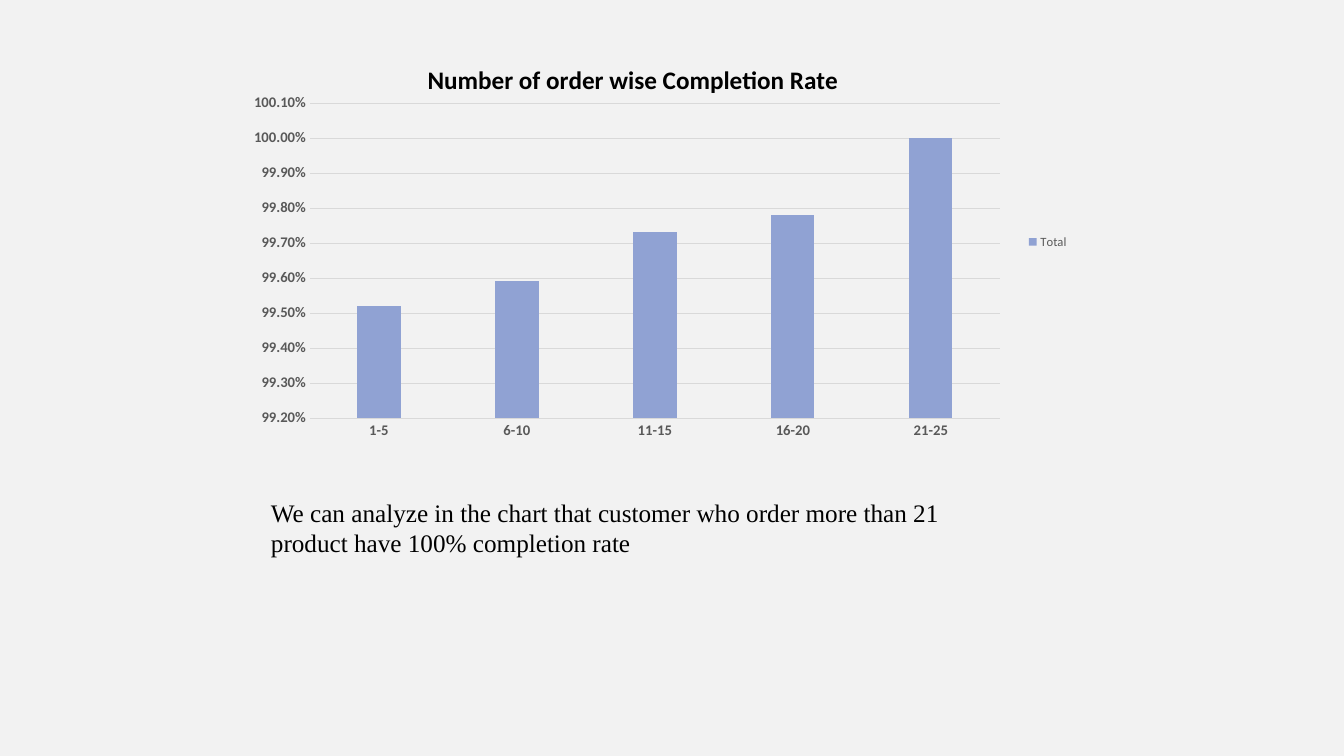
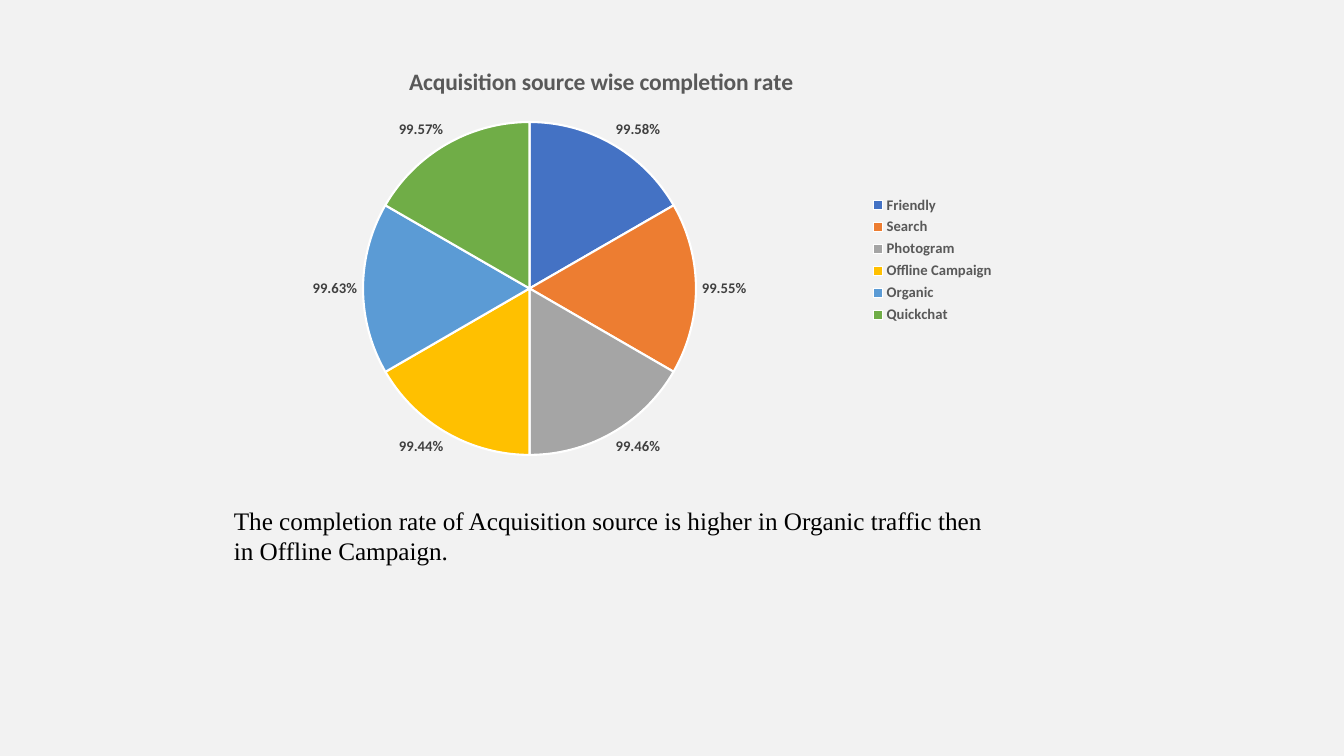
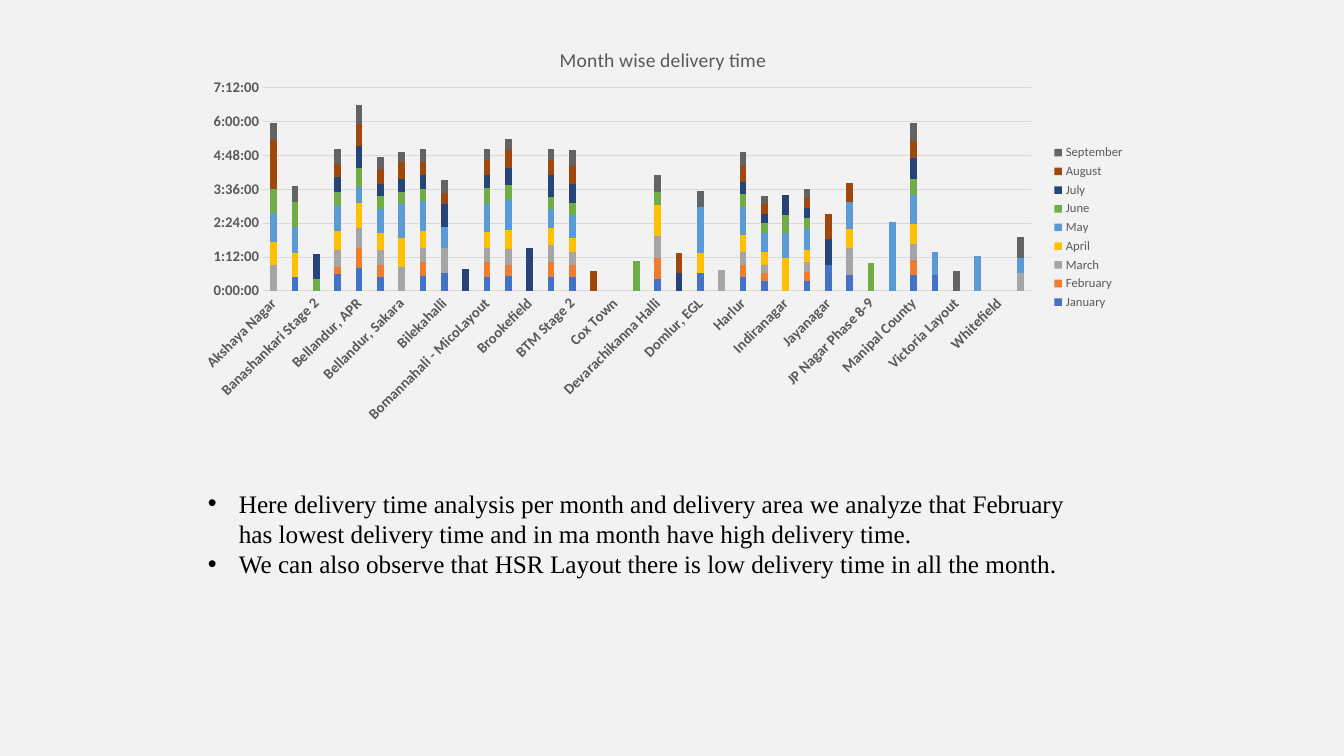
from pptx import Presentation
from pptx import util as u
from pptx.chart.data import CategoryChartData
from pptx.dml.color import RGBColor
from pptx.enum import chart as c, text
from pptx.oxml import parse_xml
from pptx.oxml.ns import nsdecls

PX = 12192000 / 1344
BACKGROUND = RGBColor(0xF2, 0xF2, 0xF2)
BLACK = RGBColor(0, 0, 0)
WHITE = RGBColor(0xFF, 0xFF, 0xFF)
GREY = RGBColor(0x59, 0x59, 0x59)
LABEL_GREY = RGBColor(0x40, 0x40, 0x40)
GRID = RGBColor(0xD9, 0xD9, 0xD9)
PERIWINKLE = RGBColor(0x90, 0xA2, 0xD3)
PALETTE = [
    RGBColor(0x44, 0x72, 0xC4), RGBColor(0xED, 0x7D, 0x31), RGBColor(0xA5, 0xA5, 0xA5),
    RGBColor(0xFF, 0xC0, 0x00), RGBColor(0x5B, 0x9B, 0xD5), RGBColor(0x70, 0xAD, 0x47),
    RGBColor(0x26, 0x44, 0x78), RGBColor(0x9E, 0x48, 0x0E), RGBColor(0x63, 0x63, 0x63),
]
CHART_FONT = "Calibri"
BODY_FONT = "Times New Roman"

ORDER_RATES = {"1-5": 0.9952, "6-10": 0.9959, "11-15": 0.9973, "16-20": 0.9978, "21-25": 1}
SOURCE_RATES = {
    "Friendly": 0.9958, "Search": 0.9955, "Photogram": 0.9946,
    "Offline Campaign": 0.9944, "Organic": 0.9963, "Quickchat": 0.9957,
}
AREAS = [
    "Akshaya Nagar", "Arekere", "Banashankari Stage 2", "Bellandur - Off Sarjapur Road",
    "Bellandur, APR", "Bellandur, Green Glen", "Bellandur, Sakara", "Bellandur, Sarjapur Road",
    "Bilekahalli", "Binnipet", "Bomannahali - MicoLayout", "Bommanahalli",
    "Brookefield", "BTM Stage 1", "BTM Stage 2", "Challagatta",
    "Cox Town", "CV Raman Nagar", "Devarachikanna Halli", "Doddanekundi",
    "Domlur, EGL", "Frazer Town", "Harlur", "HSR Layout",
    "Indiranagar", "ITI Layout", "Jayanagar", "JP Nagar Phase 1-3",
    "JP Nagar Phase 8-9", "Mahadevapura", "Manipal County", "Marathahalli",
    "Victoria Layout", "Vimanapura", "Whitefield", "Wilson Garden, Shantinagar",
]
NA = None
DELIVERY_DAYS = {
    "January": [
        NA, 0.02, NA, 0.025, 0.034, 0.02, NA, 0.022, 0.026, NA, 0.021, 0.022,
        NA, 0.021, 0.02, NA, NA, NA, 0.018, NA, 0.026, NA, 0.021, 0.014,
        NA, 0.015, 0.039, 0.023, NA, NA, 0.024, 0.023, NA, NA, NA, NA],
    "February": [
        NA, NA, NA, 0.011, 0.029, 0.019, NA, 0.02, NA, NA, 0.022, 0.017,
        NA, 0.022, 0.018, NA, NA, NA, 0.03, NA, NA, NA, 0.018, 0.012,
        NA, 0.013, NA, NA, NA, NA, 0.021, NA, NA, NA, NA, NA],
    "March": [
        0.038, NA, NA, 0.025, 0.03, 0.022, 0.035, 0.022, 0.037, NA, 0.021, 0.023,
        NA, 0.025, 0.019, NA, NA, NA, 0.033, NA, NA, 0.031, 0.019, 0.013,
        NA, 0.014, NA, 0.041, NA, NA, 0.024, NA, NA, NA, NA, 0.026],
    "April": [
        0.034, 0.036, NA, 0.028, 0.037, 0.025, 0.043, 0.025, NA, NA, 0.023, 0.028,
        NA, 0.025, 0.021, NA, NA, NA, 0.046, NA, 0.03, NA, 0.024, 0.018,
        0.048, 0.019, NA, 0.027, NA, NA, 0.03, NA, NA, NA, NA, NA],
    "May": [
        0.043, 0.039, NA, 0.036, 0.024, 0.035, 0.05, 0.044, 0.031, NA, 0.041, 0.045,
        NA, 0.028, 0.034, NA, NA, NA, NA, NA, 0.068, NA, 0.042, 0.029,
        0.038, 0.031, NA, 0.04, NA, 0.102, 0.043, 0.035, NA, 0.052, NA, 0.023],
    "June": [
        0.035, 0.037, 0.017, 0.021, 0.028, 0.019, 0.018, 0.018, NA, NA, 0.024, 0.021,
        NA, 0.018, 0.018, NA, NA, 0.044, 0.019, NA, NA, NA, 0.019, 0.015,
        0.026, 0.016, NA, NA, 0.041, NA, 0.024, NA, NA, NA, NA, NA],
    "July": [
        NA, NA, 0.038, 0.022, 0.032, 0.018, 0.02, 0.021, 0.034, 0.032, 0.02, 0.025,
        0.063, 0.032, 0.028, NA, NA, NA, NA, 0.027, NA, NA, 0.018, 0.013,
        0.03, 0.014, 0.037, NA, NA, NA, 0.03, NA, NA, NA, NA, NA],
    "August": [
        0.073, NA, NA, 0.02, 0.032, 0.022, 0.025, 0.018, 0.017, NA, 0.021, 0.027,
        NA, 0.022, 0.027, 0.029, NA, NA, NA, 0.029, NA, NA, 0.024, 0.014,
        NA, 0.015, 0.037, 0.029, NA, NA, 0.026, NA, NA, NA, NA, NA],
    "September": [
        0.025, 0.023, NA, 0.021, 0.029, 0.018, 0.015, 0.019, 0.019, NA, 0.017, 0.016,
        NA, 0.016, 0.023, NA, NA, NA, 0.026, NA, 0.024, NA, 0.021, 0.012,
        NA, 0.013, NA, NA, NA, NA, 0.026, NA, 0.029, NA, NA, 0.03],
}


def px(length):
    return u.Emu(round(length * PX))


def set_font(font, size, color, bold=False, name=CHART_FONT):
    font.size, font.bold, font.name = u.Pt(size), bold, name
    font.color.rgb = color


def set_layout(element, position, fractions, target=""):
    for layout in element.xpath("c:layout"):
        element.remove(layout)
    modes = '<c:xMode val="edge"/><c:yMode val="edge"/>'
    sizes = "".join(f'<c:{key} val="{value:.4f}"/>' for key, value in zip("xywh", fractions))
    element.insert(position, parse_xml(
        f'<c:layout {nsdecls("c")}><c:manualLayout>{target}{modes}{sizes}'
        '</c:manualLayout></c:layout>'))


def add_chart(slide, kind, box, categories, series, title, title_at, plot_box):
    data = CategoryChartData()
    data.categories = categories
    for name, values in series.items():
        data.add_series(name, values)
    chart = slide.shapes.add_chart(kind, *map(px, box), data).chart
    set_font(chart.font, 10, BLACK)
    chart.has_title = True
    paragraph = chart.chart_title.text_frame.paragraphs[0]
    paragraph.text, size, color, bold = title
    set_font(paragraph.font, size, color, bold)
    width, height = box[2:]
    set_layout(chart.chart_title.element, 1, (title_at[0] / width, title_at[1] / height))
    x, y, w, h = plot_box
    set_layout(chart.element.xpath(".//c:plotArea")[0], 0,
               (x / width, y / height, w / width, h / height),
               '<c:layoutTarget val="inner"/>')
    chart.has_legend = True
    chart.legend.position = c.XL_LEGEND_POSITION.RIGHT
    chart.legend.include_in_layout = False
    set_font(chart.legend.font, 9, GREY)
    return chart


def style_columns(chart, colors, overlap, scale, number_format, line_width):
    plot = chart.plots[0]
    plot.gap_width, plot.overlap, plot.vary_by_categories = 219, overlap, False
    for series, color in zip(plot.series, colors):
        series.format.fill.solid()
        series.format.fill.fore_color.rgb = color
    category_axis, value_axis = chart.category_axis, chart.value_axis
    for axis in (category_axis, value_axis):
        axis.major_tick_mark = axis.minor_tick_mark = c.XL_TICK_MARK.NONE
        set_font(axis.tick_labels.font, 10.5, GREY, True)
    value_axis.has_major_gridlines = True
    for line in (category_axis.format.line, value_axis.major_gridlines.format.line):
        line.color.rgb = GRID
        line.width = u.Pt(line_width)
    value_axis.format.line.fill.background()
    value_axis.minimum_scale, value_axis.maximum_scale, value_axis.major_unit = scale
    value_axis.tick_labels.number_format = number_format
    value_axis.tick_labels.number_format_is_linked = False


def add_findings(slide, box, findings, bulleted=False):
    frame = slide.shapes.add_textbox(*map(px, box)).text_frame
    frame.word_wrap = True
    frame.auto_size = text.MSO_AUTO_SIZE.SHAPE_TO_FIT_TEXT
    for index, finding in enumerate(findings):
        paragraph = frame.add_paragraph() if index else frame.paragraphs[0]
        paragraph.text = finding
        set_font(paragraph.font, 18, BLACK, name=BODY_FONT)
        if bulleted:
            properties = paragraph._p.get_or_add_pPr()
            properties.set("marL", str(px(31)))
            properties.set("indent", str(px(-31)))
            for bullet in ('buFont {} typeface="Arial"', 'buChar {} char="•"'):
                properties.insert_element_before(
                    parse_xml(f'<a:{bullet.format(nsdecls("a"))}/>'), "a:defRPr")


def build_order_slide(slide):
    chart = add_chart(
        slide, c.XL_CHART_TYPE.COLUMN_CLUSTERED, (240, 36, 839, 412),
        list(ORDER_RATES), {"Total": list(ORDER_RATES.values())},
        ("Number of order wise Completion Rate", 18, BLACK, True), (183, 22), (70, 67, 690, 315))
    style_columns(chart, [PERIWINKLE], -27, (0.992, 1.001, 0.001), "0.00%", 0.5)
    add_findings(slide, (261, 492, 745, 72), [
        "We can analyze in the chart that customer who order more than 21 product "
        "have 100% completion rate"])


def build_source_slide(slide):
    chart = add_chart(
        slide, c.XL_CHART_TYPE.PIE, (190, 38, 815, 444),
        list(SOURCE_RATES), {"Series 1": list(SOURCE_RATES.values())},
        ("Acquisition source wise completion rate", 16.8, GREY, True),
        (215, 23), (173, 84, 333, 333))
    set_font(chart.legend.font, 10.5, GREY, True)
    plot = chart.plots[0]
    plot.vary_by_categories = True
    for index, color in enumerate(PALETTE[:len(SOURCE_RATES)]):
        wedge = plot.series[0].points[index].format
        wedge.fill.solid()
        wedge.fill.fore_color.rgb = color
        wedge.line.color.rgb = WHITE
        wedge.line.width = u.Pt(1.5)
    plot.has_data_labels = True
    labels = plot.data_labels
    labels.show_value, labels.show_percentage = True, False
    labels.position = c.XL_LABEL_POSITION.OUTSIDE_END
    labels.number_format, labels.number_format_is_linked = "0.00%", False
    set_font(labels.font, 10.5, LABEL_GREY, True)
    add_findings(slide, (224, 500, 781, 72), [
        "The completion rate of Acquisition source is higher in Organic traffic then "
        "in Offline Campaign."])


def build_delivery_slide(slide):
    chart = add_chart(
        slide, c.XL_CHART_TYPE.COLUMN_STACKED, (184, 24, 951, 407), AREAS, DELIVERY_DAYS,
        ("Month wise delivery time", 14, GREY, False), (372, 19), (79, 64, 768, 203))
    style_columns(chart, PALETTE, 100, (0, 0.3, 0.05), "h:mm:ss;@", 0.75)
    chart.element.xpath(".//c:catAx/c:txPr/a:bodyPr")[0].set("rot", "-2700000")
    add_findings(slide, (198, 483, 896, 102), [
        "Here delivery time analysis per month and delivery area we analyze that February "
        "has lowest delivery time and in ma month have high delivery time.",
        "We can also observe that HSR Layout there is low delivery time in all the month.",
    ], bulleted=True)


def main():
    presentation = Presentation()
    presentation.slide_width, presentation.slide_height = px(1344), px(756)
    background = presentation.slide_master.background.fill
    background.solid()
    background.fore_color.rgb = BACKGROUND
    for build in (build_order_slide, build_source_slide, build_delivery_slide):
        build(presentation.slides.add_slide(presentation.slide_layouts[6]))
    presentation.save("out.pptx")


if __name__ == "__main__":
    main()
